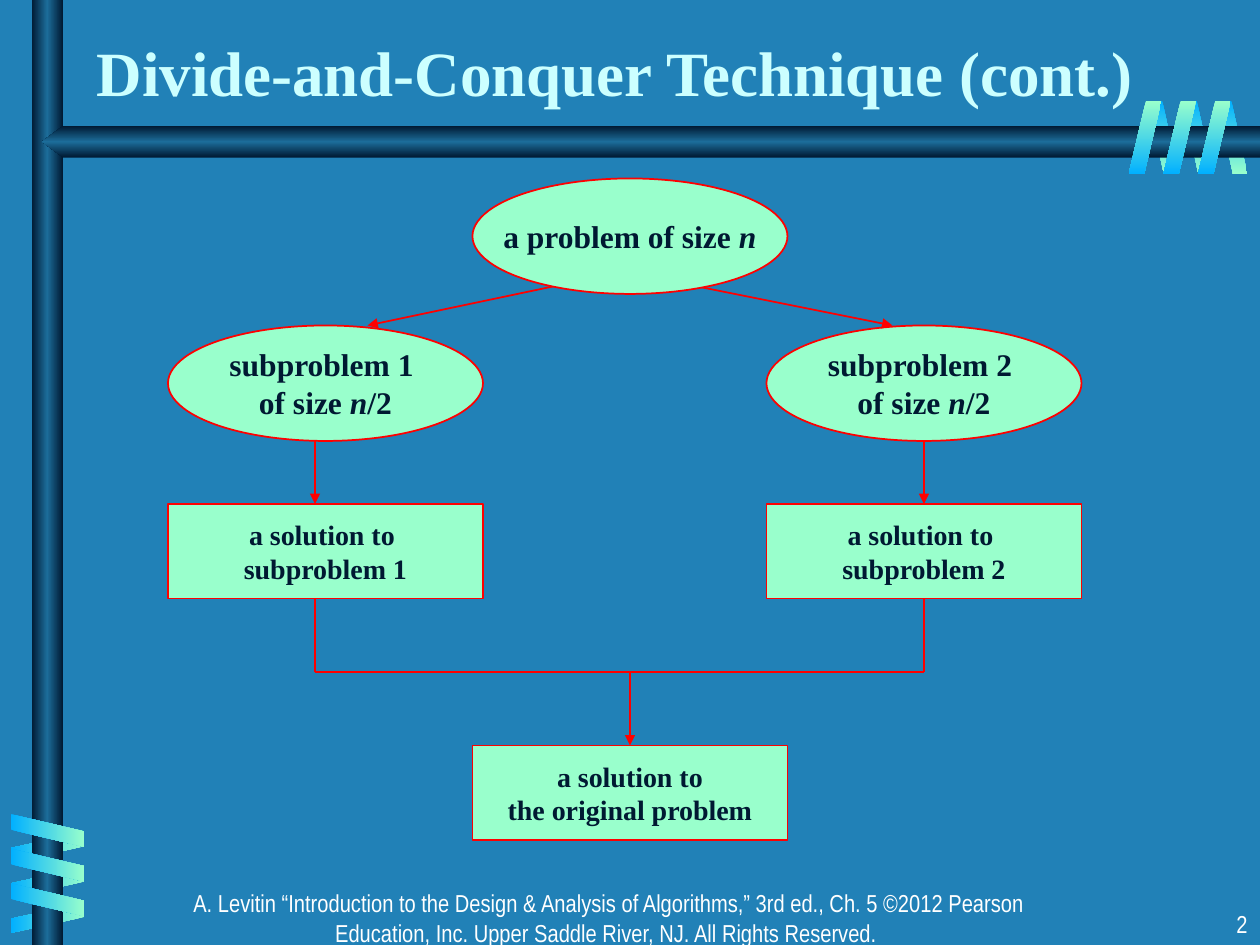
from lxml.etree import SubElement
from pptx import Presentation
from pptx.dml.color import RGBColor
from pptx.enum.shapes import MSO_CONNECTOR as CONN, MSO_SHAPE as SHAPE
from pptx.enum.text import MSO_ANCHOR as ANCHOR, MSO_AUTO_SIZE as AUTO, PP_ALIGN as ALIGN
from pptx.oxml import parse_xml
from pptx.oxml.ns import nsdecls, qn
from pptx.util import Pt

BLUE = RGBColor(0x21, 0x81, 0xB7)
NAVY = RGBColor(0x00, 0x19, 0x32)
TEAL = RGBColor(0x1C, 0x6D, 0x9A)
SKY = RGBColor(0x01, 0xB0, 0xFF)
MINT = RGBColor(0x99, 0xFF, 0xCC)
PALE = RGBColor(0xCC, 0xFF, 0xFF)
RED = RGBColor(0xFF, 0x00, 0x00)
WHITE = RGBColor(0xFF, 0xFF, 0xFF)
SERIF, NARROW = "Times New Roman", "Arial Narrow"

NODE_W, ELLIPSE_H, BOX_H = 180, 66, 54
LEFT, MIDDLE, RIGHT = 96, 270, 438
JOIN_Y = 384


class Deck:
    """Holds the presentation, its current slide and the shared style."""

    def __init__(self):
        self.prs = Presentation()
        self.prs.slide_width, self.prs.slide_height = Pt(720), Pt(540)
        self.slide = self.prs.slides.add_slide(self.prs.slide_layouts[5])
        fill = self.slide.background.fill
        fill.solid()
        fill.fore_color.rgb = BLUE

    def style(self, p, align, size, font, color, bold=False):
        p.alignment = align
        for r in p.runs:
            r.font.size, r.font.name, r.font.bold = Pt(size), font, bold
            r.font.color.rgb = color

    def title(self, text):
        sp = self.slide.shapes.title
        sp.left, sp.top, sp.width, sp.height = Pt(48), Pt(12), Pt(648), Pt(54)
        tf = sp.text_frame
        tf.text = text
        tf.auto_size, tf.vertical_anchor = AUTO.NONE, ANCHOR.BOTTOM
        self.style(tf.paragraphs[0], ALIGN.LEFT, 36, SERIF, PALE, True)

    def note(self, text, x, y, w, align):
        sp = self.slide.shapes.add_textbox(Pt(x), Pt(y), Pt(w), Pt(24))
        tf = sp.text_frame
        tf.word_wrap = True
        tf.text = text
        self.style(tf.paragraphs[0], align, 14, NARROW, WHITE)

    def gradient(self, sp, colors, angle):
        """Fill with evenly spaced stops that do not turn with the shape."""
        sp.shadow.inherit = False
        sp.line.fill.background()
        sp.fill.background()
        stops = "".join(
            f'<a:gs pos="{100000 * i // (len(colors) - 1)}"><a:srgbClr val="{c}"/></a:gs>'
            for i, c in enumerate(colors))
        grad = parse_xml(
            f'<a:gradFill {nsdecls("a")} rotWithShape="0"><a:gsLst>{stops}</a:gsLst>'
            f'<a:lin ang="{angle * 60000}" scaled="1"/></a:gradFill>')
        sp_pr = sp._element.spPr
        sp_pr.replace(sp_pr.find(qn("a:noFill")), grad)

    def rails(self):
        colors = (NAVY, TEAL, NAVY)
        post = self.slide.shapes.add_shape(SHAPE.RECTANGLE, Pt(18), 0, Pt(18), Pt(540))
        self.gradient(post, colors, 0)
        fb = self.slide.shapes.build_freeform(Pt(720), Pt(72))
        fb.add_line_segments([(Pt(x), Pt(y)) for x, y in
                              ((36, 72), (24, 81), (36, 90), (720, 90))])
        self.gradient(fb.convert_to_shape(), colors, 90)

    def coil(self, x, y, dx, dy, w, colors, angle, rotation, flip=False):
        """Draw three slanted strips, each one step on from the last."""
        for i in range(3):
            sp = self.slide.shapes.add_shape(
                SHAPE.PARALLELOGRAM, Pt(x + i * dx), Pt(y + i * dy), Pt(w), Pt(42))
            sp.adjustments[0] = 0.53
            sp.rotation = rotation
            if flip:
                sp._element.spPr.find(qn("a:xfrm")).set("flipH", "1")
            self.gradient(sp, colors, angle)

    def node(self, kind, x, y, h, size, *lines):
        """Each line is a string, or a tuple whose second part is italic."""
        sp = self.slide.shapes.add_shape(kind, Pt(x), Pt(y), Pt(NODE_W), Pt(h))
        sp.shadow.inherit = False
        sp.fill.solid()
        sp.fill.fore_color.rgb = MINT
        sp.line.color.rgb, sp.line.width = RED, Pt(1)
        tf = sp.text_frame
        tf.word_wrap, tf.vertical_anchor = False, ANCHOR.MIDDLE
        for i, line in enumerate(lines):
            p = tf.add_paragraph() if i else tf.paragraphs[0]
            for j, part in enumerate((line,) if isinstance(line, str) else line):
                r = p.add_run()
                r.text, r.font.italic = part, j == 1
            self.style(p, ALIGN.CENTER, size, SERIF, NAVY, True)

    def line(self, x1, y1, x2, y2, arrow=False):
        cx = self.slide.shapes.add_connector(
            CONN.STRAIGHT, Pt(x1), Pt(y1), Pt(x2), Pt(y2))
        cx.line.color.rgb, cx.line.width = RED, Pt(1)
        if arrow:
            SubElement(cx.line._get_or_add_ln(), qn("a:tailEnd"), type="triangle")
        SubElement(cx._element.spPr, qn("a:effectLst"))


def main():
    deck = Deck()
    deck.title("Divide-and-Conquer Technique (cont.)")

    deck.coil(656, 57.6, 19.75, 0, 17.3, (SKY, MINT), 90, 180, flip=True)
    deck.coil(18.7, 463, 0, 20.2, 17.3, (MINT, SKY), 0, 90, flip=True)
    deck.rails()
    deck.coil(18, 453.6, 0, 19.8, 18.7, (SKY, MINT), 0, 270)
    deck.coil(645, 57.6, 19.8, 0, 18.7, (MINT, SKY), 90, 0)

    deck.note("A. Levitin “Introduction to the Design & Analysis of Algorithms,” 3rd ed., "
              "Ch. 5 ©2012 Pearson Education, Inc. Upper Saddle River, NJ. "
              "All Rights Reserved. ", 96, 504, 504, ALIGN.CENTER)
    deck.note("2", 570, 516, 150, ALIGN.RIGHT)

    branches = ((1, LEFT, 180, 324, 210), (2, RIGHT, 528, 390, 510))
    for number, x, stem_x, start_x, end_x in branches:
        deck.node(SHAPE.OVAL, x, 186, ELLIPSE_H, 18,
                  f"subproblem {number} ", ("of size ", "n", "/2"))
        deck.node(SHAPE.RECTANGLE, x, 288, BOX_H, 16,
                  "a solution to ", f"subproblem {number}")
        deck.line(start_x, 162, end_x, 186, arrow=True)
        deck.line(stem_x, 252, stem_x, 288, arrow=True)
        deck.line(stem_x, 342, stem_x, JOIN_Y)
    deck.node(SHAPE.OVAL, MIDDLE, 102, ELLIPSE_H, 18, ("a problem of size ", "n"))
    deck.node(SHAPE.RECTANGLE, MIDDLE, 426, BOX_H, 16,
              "a solution to", "the original problem")
    deck.line(180, JOIN_Y, 528, JOIN_Y)
    deck.line(360, JOIN_Y, 360, 426, arrow=True)

    deck.prs.save("out.pptx")


if __name__ == "__main__":
    main()
